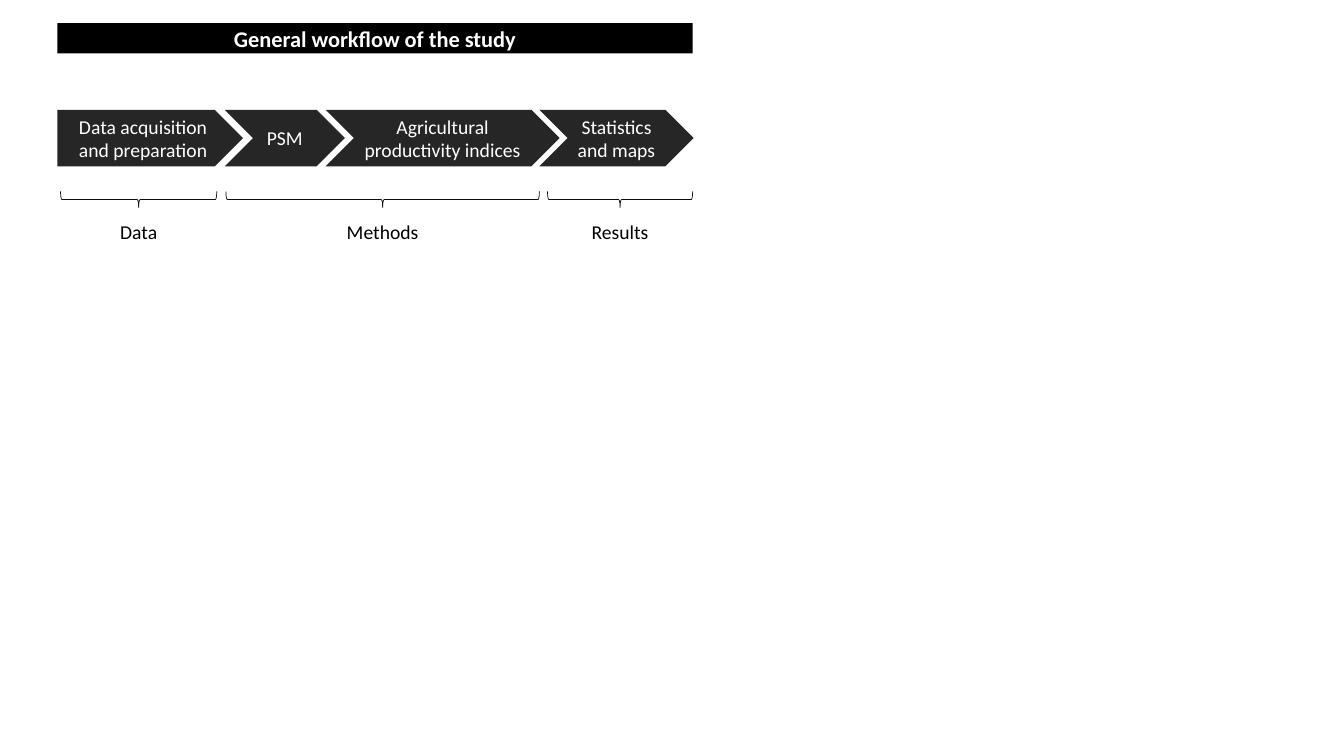
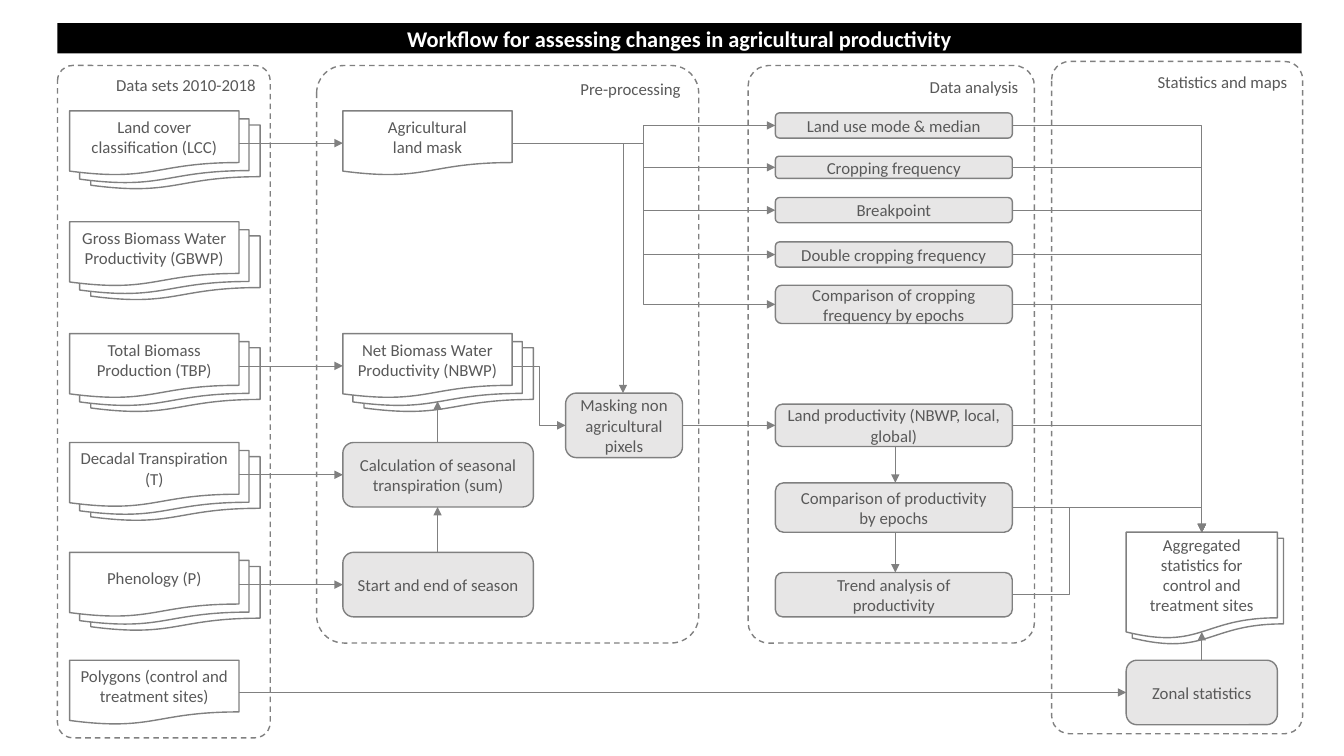
from lxml.etree import SubElement
from pptx import Presentation
from pptx.dml.color import RGBColor
from pptx.enum.dml import MSO_LINE
from pptx.enum.shapes import MSO_CONNECTOR as Link, MSO_SHAPE as Shape
from pptx.enum.text import MSO_ANCHOR as Anchor, PP_ALIGN as Align
from pptx.oxml.ns import qn
from pptx.util import Inches, Pt

FONT = "Calibri"
BLACK, WHITE, CHARCOAL = "000000", "FFFFFF", "262626"
GREY, TEXT_GREY, PALE = "808080", "595959", "E7E6E6"
BRACE_INK = "0D0D0D"


def rgb(value):
    return RGBColor.from_string(value)


class Workflow:
    def __init__(self):
        self.deck = Presentation()
        self.deck.slide_width = Inches(13.33)
        self.deck.slide_height = Inches(7.5)
        self.slide = None

    def new_slide(self, title, width):
        self.slide = self.deck.slides.add_slide(self.deck.slide_layouts[6])
        band = self.shape(Shape.RECTANGLE, 0.57, 0.23, width, 0.3, fill=BLACK)
        self.add_text(band, title, 16, WHITE, bold=True)

    def shape(self, kind, left, top, width, height, fill=None, line=None, weight=1):
        item = self.slide.shapes.add_shape(
            kind, Inches(left), Inches(top), Inches(width), Inches(height))
        item.shadow.inherit = False
        if fill:
            item.fill.solid()
            item.fill.fore_color.rgb = rgb(fill)
        else:
            item.fill.background()
        if line:
            item.line.color.rgb = rgb(line)
            item.line.width = Pt(weight)
        else:
            item.line.fill.background()
        return item

    def add_text(self, holder, text, size, color, bold=False,
                 align=Align.CENTER, anchor=Anchor.MIDDLE):
        frame = holder.text_frame
        frame.word_wrap = True
        frame.vertical_anchor = anchor
        for index, words in enumerate(text.split("\n")):
            paragraph = frame.add_paragraph() if index else frame.paragraphs[0]
            paragraph.alignment = align
            run = paragraph.add_run()
            run.text = words
            run.font.name = FONT
            run.font.size = Pt(size)
            run.font.bold = bold
            run.font.color.rgb = rgb(color)

    def stage(self, kind, left, width, text):
        step = self.shape(kind, left, 1.09, width, 0.56, fill=CHARCOAL)
        self.add_text(step, text, 14, WHITE)

    def phase(self, left, width, text):
        depth, middle = 0.16, left + width / 2
        brace = self.shape(Shape.RIGHT_BRACE, middle - depth / 2, 1.98 - width / 2,
                           depth, width, line=BRACE_INK, weight=0.5)
        brace.rotation = 90
        label = self.slide.shapes.add_textbox(
            Inches(left), Inches(2.14), Inches(width), Inches(0.32))
        self.add_text(label, text, 14, BLACK)

    def panel(self, left, top, width, height, text):
        frame = self.shape(Shape.ROUNDED_RECTANGLE, left, top, width, height, WHITE, GREY)
        frame.adjustments[0] = 0.072
        frame.line.dash_style = MSO_LINE.DASH
        self.add_text(frame, text, 12, TEXT_GREY, align=Align.RIGHT, anchor=Anchor.TOP)

    def process(self, left, top, width, height, text):
        box = self.shape(Shape.ROUNDED_RECTANGLE, left, top, width, height, PALE, GREY)
        self.add_text(box, text, 12, TEXT_GREY)

    def document(self, left, top, text, width=1.68, height=0.64, behind=()):
        for across, down in (*behind, (0, 0)):
            page = self.shape(Shape.FLOWCHART_DOCUMENT, left + across, top + down,
                              width, height, WHITE, GREY)
        self.add_text(page, text, 12, TEXT_GREY)

    def arrow(self, start, end, bend=None, adjust=()):
        link = self.slide.shapes.add_connector(
            Link.ELBOW if bend else Link.STRAIGHT,
            *(Inches(value) for value in (*start, *end)))
        link.line.color.rgb = rgb(GREY)
        link.line.width = Pt(0.5)
        properties = link._element.spPr
        SubElement(properties.find(qn("a:ln")), qn("a:tailEnd"), type="triangle")
        SubElement(properties, qn("a:effectLst"))
        if bend:
            geometry = properties.find(qn("a:prstGeom"))
            geometry.set("prst", f"bentConnector{bend}")
            guides = geometry.find(qn("a:avLst"))
            for number, share in enumerate(adjust, 1):
                SubElement(guides, qn("a:gd"), name=f"adj{number}",
                           fmla=f"val {round(share * 100000)}")


flow = Workflow()

flow.new_slide("General workflow of the study", 6.3)
for kind, left, width, text in (
    (Shape.PENTAGON, 0.57, 1.84, "Data acquisition and preparation"),
    (Shape.CHEVRON, 2.23, 1.19, "PSM"),
    (Shape.CHEVRON, 3.23, 2.32, "Agricultural productivity indices"),
    (Shape.CHEVRON, 5.35, 1.53, "Statistics and maps"),
):
    flow.stage(kind, left, width, text)
for left, width, text in ((0.6, 1.55, "Data"), (2.24, 3.11, "Methods"),
                          (5.43, 1.44, "Results")):
    flow.phase(left, width, text)

flow.new_slide("Workflow for assessing changes in agricultural productivity", 12.34)
for panel in (
    (10.43, 0.61, 2.49, 6.67, "Statistics and maps"),
    (0.57, 0.65, 2.11, 6.67, "Data sets 2010-2018"),
    (3.14, 0.65, 3.79, 5.73, "Pre-processing"),
    (7.42, 0.65, 2.84, 5.73, "Data analysis"),
):
    flow.panel(*panel)

SERIES = ((0.21, 0.14), (0.1, 0.08))
DATA_LEFT, PREP_LEFT, PAGE_WIDTH, NODE_HEIGHT = 0.69, 3.4, 1.68, 0.64
DATA_RIGHT, PREP_RIGHT = DATA_LEFT + PAGE_WIDTH, PREP_LEFT + PAGE_WIDTH
HALF = NODE_HEIGHT / 2
LAND, GROSS, BIOMASS, TRANSPIRATION, SEASON, POLYGONS = 1.1, 2.2, 3.31, 4.39, 5.48, 6.55

for top, text in (
    (LAND, "Land cover classification (LCC)"),
    (GROSS, "Gross Biomass Water Productivity (GBWP)"),
    (BIOMASS, "Total Biomass Production (TBP)"),
    (TRANSPIRATION, "Decadal Transpiration (T)"),
    (SEASON, "Phenology (P)"),
):
    flow.document(DATA_LEFT, top, text, behind=SERIES)
flow.document(DATA_LEFT, POLYGONS, "Polygons (control and treatment sites)")

flow.document(PREP_LEFT, LAND, "Agricultural\nland mask")
flow.document(PREP_LEFT, BIOMASS, "Net Biomass Water Productivity (NBWP)", behind=SERIES)
flow.process(PREP_LEFT, TRANSPIRATION, 1.89, NODE_HEIGHT,
             "Calculation of seasonal transpiration (sum)")
flow.process(PREP_LEFT, SEASON, 1.89, NODE_HEIGHT, "Start and end of season")
flow.process(5.61, 3.9, 1.16, NODE_HEIGHT, "Masking non agricultural pixels")

ANALYSIS_LEFT, ANALYSIS_WIDTH = 7.69, 2.35
ANALYSIS_RIGHT = ANALYSIS_LEFT + ANALYSIS_WIDTH
mask_analyses = (
    (1.12, 0.25, "Land use mode & median"),
    (1.55, 0.22, "Cropping frequency"),
    (1.96, 0.25, "Breakpoint"),
    (2.4, 0.25, "Double cropping frequency"),
    (2.83, 0.38, "Comparison of cropping frequency by epochs"),
)
productivity_analyses = (
    (4.01, 0.42, "Land productivity (NBWP, local, global)"),
    (4.79, 0.49, "Comparison of productivity\nby epochs"),
    (5.68, 0.44, "Trend analysis of\nproductivity"),
)
for top, height, text in mask_analyses + productivity_analyses:
    flow.process(ANALYSIS_LEFT, top, ANALYSIS_WIDTH, height, text)

RESULT_LEFT, RESULT_TOP, RESULT_WIDTH = 11.17, 5.28, 1.5
RESULT_MIDDLE = RESULT_LEFT + RESULT_WIDTH / 2
flow.process(RESULT_LEFT, POLYGONS, RESULT_WIDTH, NODE_HEIGHT, "Zonal statistics")
flow.document(RESULT_LEFT, RESULT_TOP,
              "Aggregated statistics for control and treatment sites",
              RESULT_WIDTH, 1.06, behind=((0.06, 0.06),))

for top in (LAND, BIOMASS, TRANSPIRATION, SEASON):
    flow.arrow((DATA_RIGHT, top + HALF), (PREP_LEFT, top + HALF))
flow.arrow((DATA_RIGHT, POLYGONS + HALF), (RESULT_LEFT, POLYGONS + HALF))
flow.arrow((RESULT_MIDDLE, POLYGONS), (RESULT_MIDDLE, 6.27))
flow.arrow((4.34, SEASON), (4.34, TRANSPIRATION + NODE_HEIGHT))
flow.arrow((4.34, TRANSPIRATION), (4.34, 3.98))

mask_exit = (PREP_RIGHT, LAND + HALF)
flow.arrow(mask_exit, (6.18, 3.9), bend=2)
flow.arrow((PREP_RIGHT, BIOMASS + HALF), (5.61, 4.22), bend=3, adjust=(0.5,))
flow.arrow((6.77, 4.22), (ANALYSIS_LEFT, 4.22))
for top, height, text in mask_analyses:
    flow.arrow(mask_exit, (ANALYSIS_LEFT, top + height / 2), bend=3, adjust=(0.5,))

result_entry = (RESULT_MIDDLE, RESULT_TOP)
for top, height, text in mask_analyses + productivity_analyses[:2]:
    flow.arrow((ANALYSIS_RIGHT, top + height / 2), result_entry, bend=2)
flow.arrow((ANALYSIS_RIGHT, 5.9), result_entry, bend=4, adjust=(0.3, 1.4))
for (top, height, text), following in zip(productivity_analyses, productivity_analyses[1:]):
    flow.arrow((8.88, top + height), (8.88, following[0]))

flow.deck.save("out.pptx")
